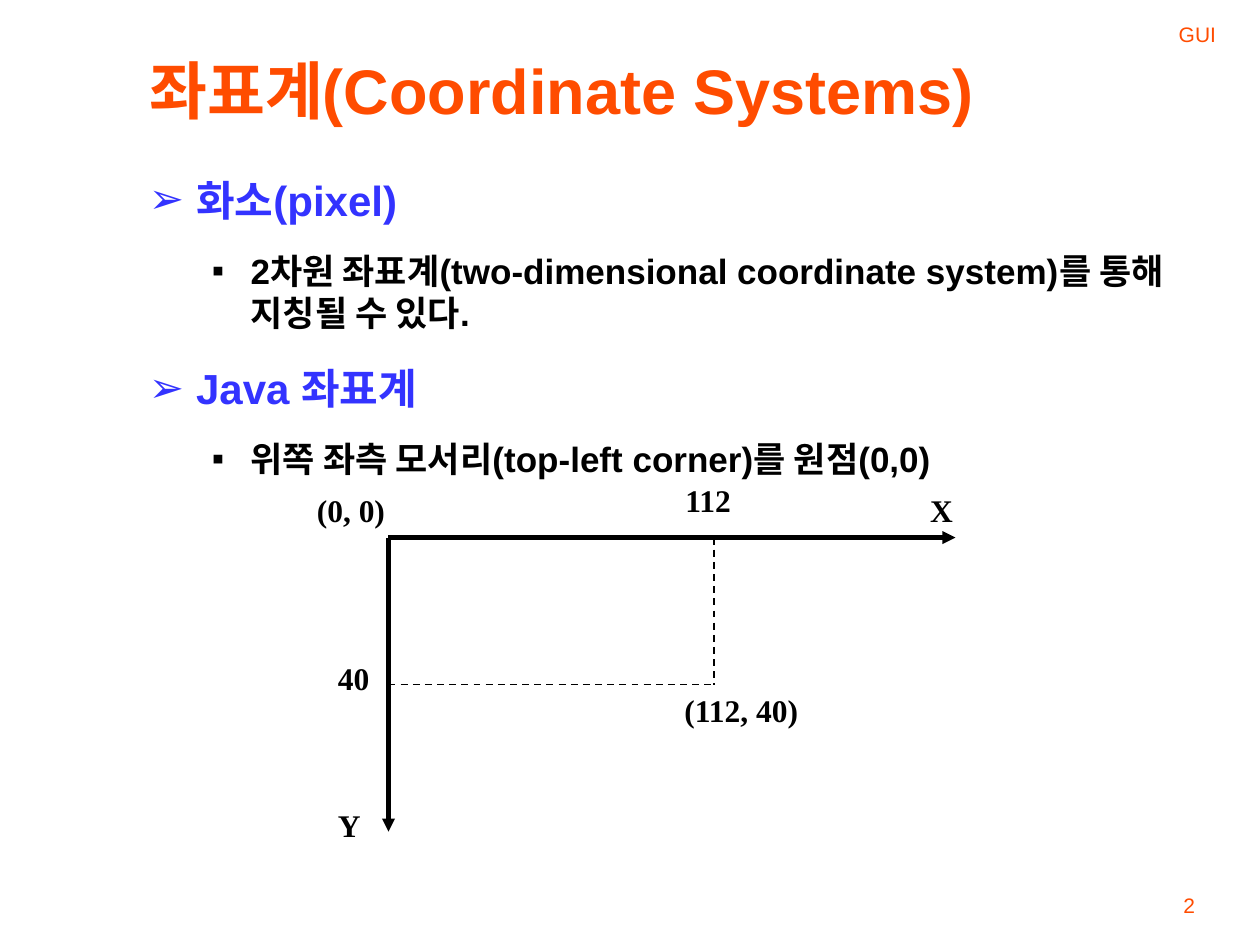
from lxml import etree
from pptx import Presentation
from pptx import util as u
from pptx.dml.color import RGBColor
from pptx.enum import dml, shapes, text
from pptx.oxml.ns import qn

SCALE = 7620
ORANGE = RGBColor(0xFF, 0x4C, 0x00)
BLUE = RGBColor(0x33, 0x33, 0xFF)
BLACK = RGBColor(0, 0, 0)
SMALL = dict(name="Arial", size=u.Pt(12), color=ORANGE)
TITLE = dict(name="Arial", size=u.Pt(36), bold=True, color=ORANGE)
LABEL = dict(name="Times New Roman", size=u.Pt(18), bold=True, color=BLACK)
LEVELS = [
    dict(mark="➢", left=45, hang=45, gap=17,
         font=dict(name="Arial", size=u.Pt(24), bold=True, color=BLUE)),
    dict(mark="▪", left=97, hang=37, gap=14,
         font=dict(name="Arial", size=u.Pt(20), bold=True, color=BLACK)),
]
POINTS = [
    (0, "화소(pixel)"),
    (1, "2차원 좌표계(two-dimensional coordinate system)를 통해 지칭될 수 있다."),
    (0, "Java 좌표계"),
    (1, "위쪽 좌측 모서리(top-left corner)를 원점(0,0)"),
]


def px(n):
    """Turn px into EMU."""
    return u.Emu(n * SCALE)


def style(font, form):
    """Set font attributes from a dict."""
    for key, val in form.items():
        if key == "color":
            font.color.rgb = val
        else:
            setattr(font, key, val)


def write(slide, box, words, form, wrap=True, **para):
    """Add a text box with one paragraph and return its frame."""
    frame = slide.shapes.add_textbox(*map(px, box)).text_frame
    frame.word_wrap = wrap
    line = frame.paragraphs[0]
    line.text = words
    for key, val in para.items():
        setattr(line, key, val)
    style(line.runs[0].font, form)
    return frame


def corner(slide, box, words):
    """Write a small right-aligned note at the foot of its box."""
    frame = write(slide, box, words, SMALL, alignment=text.PP_ALIGN.RIGHT)
    frame.vertical_anchor = text.MSO_ANCHOR.BOTTOM


def head(slide, box, words):
    """Place and format the title."""
    title = slide.shapes.title
    for key, val in zip(("left", "top", "width", "height"), box):
        setattr(title, key, px(val))
    frame = title.text_frame
    frame.text = words
    frame.auto_size = text.MSO_AUTO_SIZE.NONE
    frame.vertical_anchor = text.MSO_ANCHOR.MIDDLE
    frame.paragraphs[0].alignment = text.PP_ALIGN.LEFT
    style(frame.paragraphs[0].runs[0].font, TITLE)


def body(slide, box, points):
    """Write the two-level bullet list."""
    frame = slide.shapes.add_textbox(*map(px, box)).text_frame
    frame.word_wrap = True
    for num, (depth, words) in enumerate(points):
        look = LEVELS[depth]
        line = frame.add_paragraph() if num else frame.paragraphs[0]
        line.text = words
        line.level = depth
        if num:
            line.space_before = u.Pt(look["gap"])
        props = line._p.get_or_add_pPr()
        props.set("marL", str(px(look["left"])))
        props.set("indent", str(-px(look["hang"])))
        etree.SubElement(props, qn("a:buFont"), typeface="Arial")
        etree.SubElement(props, qn("a:buChar"), char=look["mark"])
        style(line.runs[0].font, look["font"])


def rule(slide, start, end, arrow):
    """Draw a thick arrow or a thin dashed line."""
    link = slide.shapes.add_connector(
        shapes.MSO_CONNECTOR.STRAIGHT, *map(px, (*start, *end)))
    link.line.color.rgb = BLACK
    link.line.width = u.Pt(2.5 if arrow else 1)
    if arrow:
        etree.SubElement(link.line._get_or_add_ln(), qn("a:tailEnd"),
                         type="triangle")
    else:
        link.line.dash_style = dml.MSO_LINE.DASH
    etree.SubElement(link._element.spPr, qn("a:effectLst"))


def axes(slide, box):
    """Draw the axes, the guides to the point and their labels."""
    left, top, wide, high = box
    right, base = left + wide, top + high
    col, row = left + 310, top + 140
    for start, end, arrow in [
        ((left, top), (left, base), True),
        ((left, top), (right, top), True),
        ((left, row), (col, row), False),
        ((col, top), (col, row), False),
    ]:
        rule(slide, start, end, arrow)
    for x, y, wide, words in [
        (left - 60, base - 30, 46, "Y"),
        (right - 36, top - 50, 46, "X"),
        (left - 80, top - 50, 89, "(0, 0)"),
        (col - 40, row, 134, "(112, 40)"),
        (col - 39, top - 60, 70, "112"),
        (left - 60, row - 30, 54, "40"),
    ]:
        write(slide, (x, y, wide, 48), words, LABEL, wrap=False)


def main():
    """Build the slide and save it."""
    deck = Presentation()
    deck.slide_width, deck.slide_height = px(1200), px(900)
    slide = deck.slides.add_slide(deck.slide_layouts[5])
    corner(slide, (740, 0, 430, 50), "GUI")
    corner(slide, (900, 830, 250, 50), "2")
    head(slide, (130, 40, 1040, 90), "좌표계(Coordinate Systems)")
    body(slide, (130, 160, 1070, 650), POINTS)
    axes(slide, (370, 512, 540, 280))
    deck.save("out.pptx")


if __name__ == "__main__":
    main()
